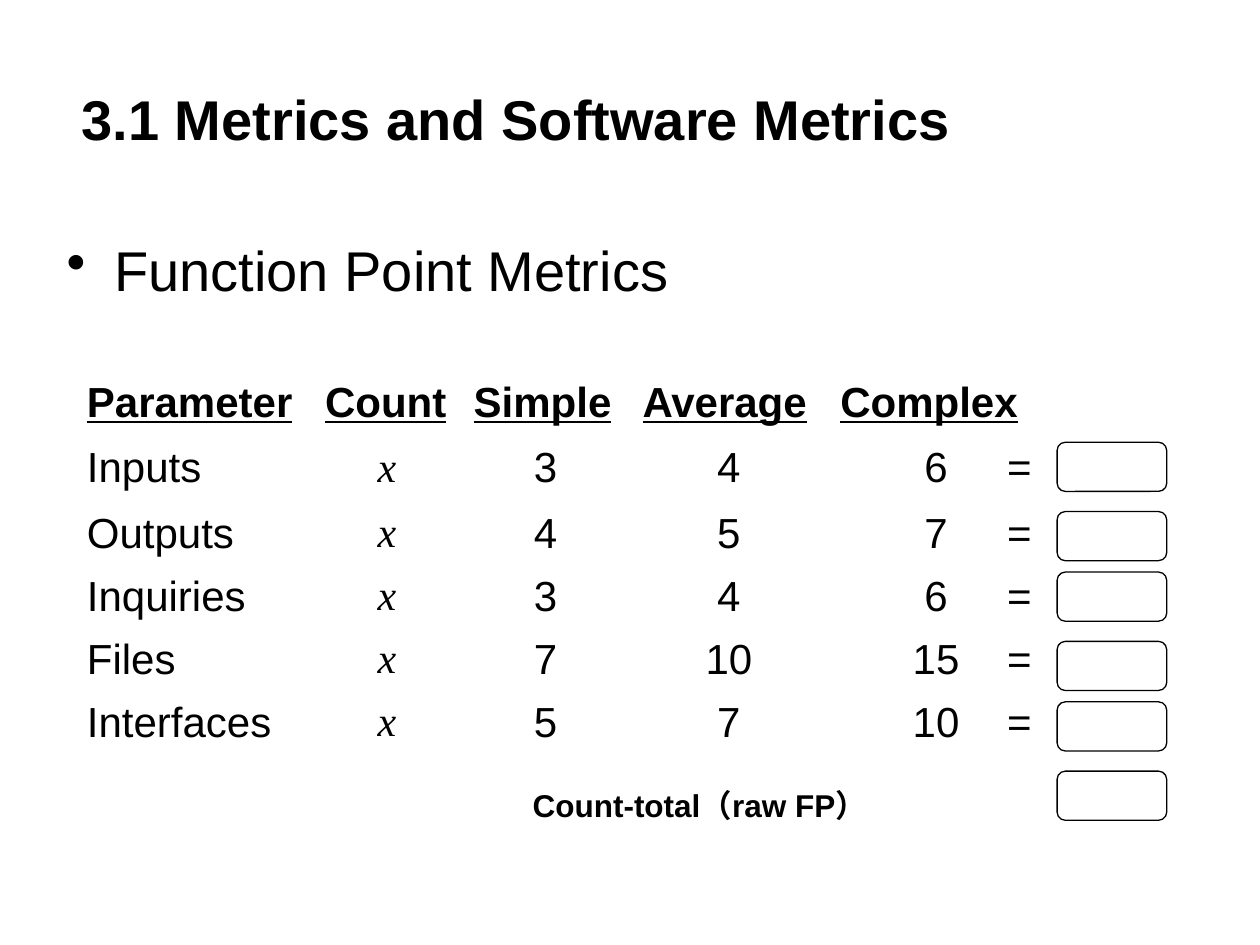
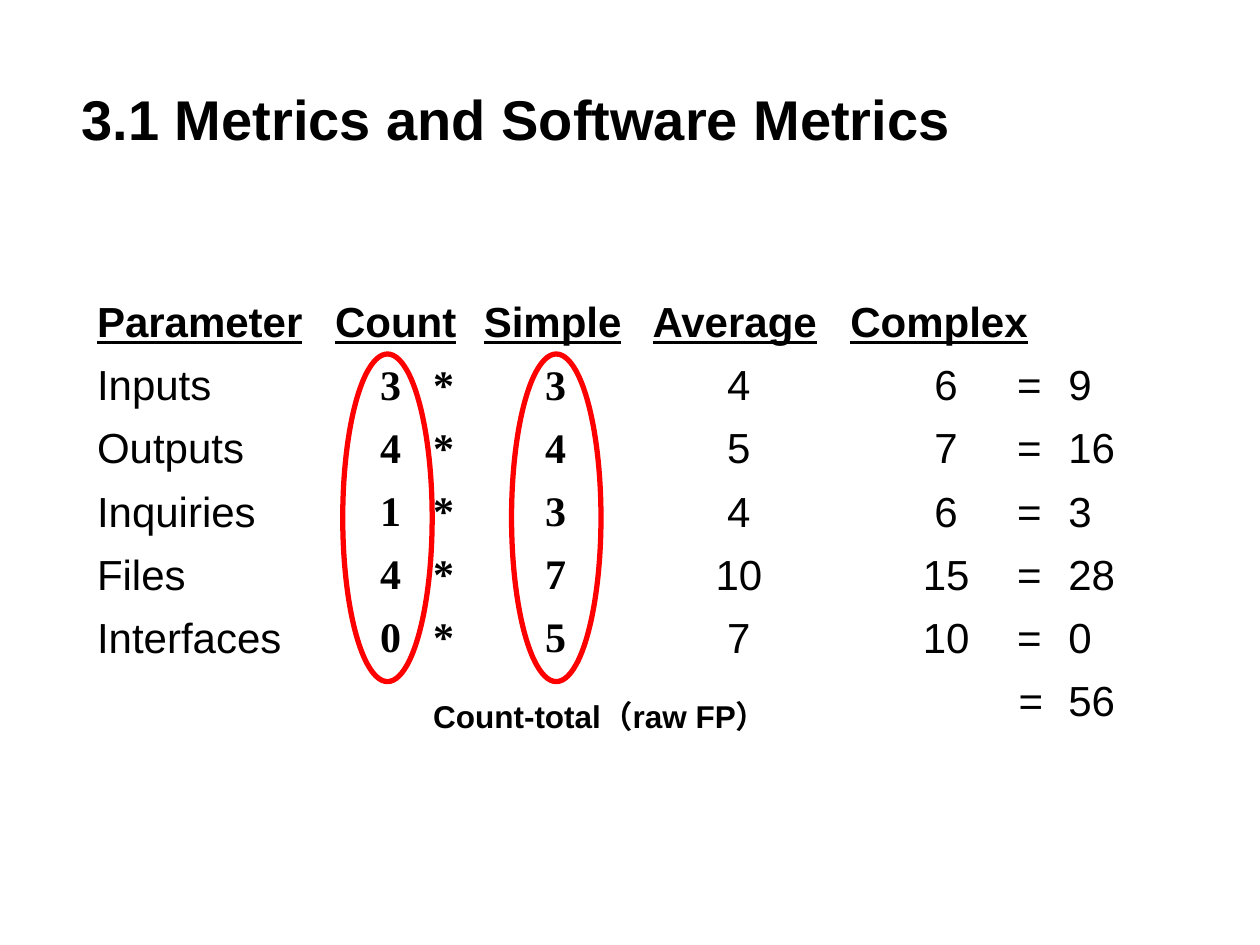
from lxml import etree
from pptx import Presentation
from pptx.dml.color import RGBColor
from pptx.enum.shapes import MSO_SHAPE
from pptx.enum.text import MSO_ANCHOR, PP_ALIGN
from pptx.oxml.ns import qn
from pptx.util import Inches, Pt

# Shared style: a grid of 10 columns by 7.5 rows
CELL = Inches(1)
BLACK, WHITE, RED = "000000", "FFFFFF", "FF0000"
SANS, SERIF = "Arial", "Times New Roman"
TITLE = "3.1 Metrics and Software Metrics"
TOTAL_LABEL = "Count-total（raw FP）"
HEADINGS = ["Parameter", "Count", "Simple", "Average", "Complex", ""]
COLUMN_WIDTHS = [1.89, 1.18, 1.34, 1.57, 1.73, 1.28]
COUNT_TABS, COMPLEX_TABS = (0.44, 0.86), (0.76, 1.42)

# Parameter, simple weight, average weight, complex weight, example count
PARAMETERS = [
    ("Inputs", 3, 4, 6, 3),
    ("Outputs", 4, 5, 7, 4),
    ("Inquiries", 3, 4, 6, 1),
    ("Files", 7, 10, 15, 4),
    ("Interfaces", 5, 7, 10, 0),
]


def grid(*cells):
    return [round(cell * CELL) for cell in cells]


def colour(value):
    return RGBColor.from_string(value)


def style(paragraph, size, font=SANS, bold=False, italic=False, underline=False):
    for span in paragraph.runs:
        span.font.name = font
        span.font.size = Pt(size)
        span.font.bold = bold
        span.font.italic = italic
        span.font.underline = underline
        span.font.color.rgb = colour(BLACK)


def add_text(page, place, text, size, bold=False, anchor=MSO_ANCHOR.TOP):
    box = page.shapes.add_textbox(*grid(*place))
    frame = box.text_frame
    frame.word_wrap = True
    frame.vertical_anchor = anchor
    frame.text = text
    style(frame.paragraphs[0], size, bold=bold)
    return frame.paragraphs[0]


def add_bullet(paragraph, indent):
    properties = paragraph._p.get_or_add_pPr()
    properties.set("marL", str(Inches(indent)))
    properties.set("indent", str(-Inches(indent)))
    etree.SubElement(properties, qn("a:buChar")).set("char", "•")


def add_centre_tabs(paragraph, positions):
    tabs = etree.SubElement(paragraph._p.get_or_add_pPr(), qn("a:tabLst"))
    for position in positions:
        tab = etree.SubElement(tabs, qn("a:tab"))
        tab.set("pos", str(Inches(position)))
        tab.set("algn", "ctr")


def add_outline(page, kind, place, line, width, fill=None):
    shape = page.shapes.add_shape(kind, *grid(*place))
    shape.shadow.inherit = False
    shape.line.color.rgb = colour(line)
    shape.line.width = Pt(width)
    if fill:
        shape.fill.solid()
        shape.fill.fore_color.rgb = colour(fill)
    else:
        shape.fill.background()


def fill_cell(cell, text, row, column, number_style):
    """Write one cell; number_style maps a column to its own run format."""
    cell.fill.background()
    cell.text = text
    paragraph = cell.text_frame.paragraphs[0]
    if row == 0:
        style(paragraph, 24, bold=True, underline=True)
        return
    if "\t" in text:
        add_centre_tabs(paragraph, COUNT_TABS if column == 1 else COMPLEX_TABS)
    elif text == "=":
        paragraph.alignment = PP_ALIGN.RIGHT
    elif 1 <= column <= 4:
        paragraph.alignment = PP_ALIGN.CENTER
    style(paragraph, 24, **number_style.get(column, {}))


def add_weights(page, left, top, heights, rows, number_style):
    place = grid(left, top, sum(COLUMN_WIDTHS), sum(heights))
    table = page.shapes.add_table(len(heights), len(COLUMN_WIDTHS), *place).table
    table.first_row = table.horz_banding = False
    for column, width in zip(table.columns, COLUMN_WIDTHS):
        column.width = Inches(width)
    for row, height in zip(table.rows, heights):
        row.height = Inches(height)
    for i, texts in enumerate([HEADINGS, *rows]):
        for j, text in enumerate(texts):
            fill_cell(table.cell(i, j), text, i, j, number_style)


def add_page(deck):
    page = deck.slides.add_slide(deck.slide_layouts[6])
    add_text(page, (0.55, 0.31, 9, 1.25), TITLE, 32, True, MSO_ANCHOR.MIDDLE)
    return page


def build_blank_form(deck):
    page = add_page(deck)
    add_bullet(add_text(page, (0.43, 1.82, 9, 0.79), "Function Point Metrics", 32), 0.38)
    rows = [[name, "x", str(simple), str(average), f"\t{complex_weight}\t=", ""]
            for name, simple, average, complex_weight, _ in PARAMETERS]
    add_weights(page, 0.59, 2.96, [0.52] * 2 + [0.5] * 4, rows,
                {1: {"font": SERIF, "italic": True}})

    # Result boxes, set in pairs
    for i in range(len(PARAMETERS) + 1):
        pair, second = divmod(i, 2)
        top = 3.51 + 1.03 * pair + 0.55 * second
        add_outline(page, MSO_SHAPE.ROUNDED_RECTANGLE, (8.39, top, 0.87, 0.39),
                    BLACK, 0.75, WHITE)
    add_text(page, (4.13, 6.19, 3.03, 0.4), TOTAL_LABEL, 18, True)


def build_worked_example(deck):
    page = add_page(deck)
    rows = [[name, f"\t{count}\t*", str(simple), str(average),
             f"\t{complex_weight}\t=", str(count * simple)]
            for name, simple, average, complex_weight, count in PARAMETERS]
    total = sum(count * simple for _, simple, _, _, count in PARAMETERS)
    rows.append(["", "", "", "", "=", str(total)])
    serif_bold = {"font": SERIF, "bold": True}
    add_weights(page, 0.67, 2.33, [0.5] * 7, rows, {1: serif_bold, 2: serif_bold})
    add_text(page, (3.34, 5.48, 3.03, 0.4), TOTAL_LABEL, 18, True)

    # Rings around the multiplied columns
    for left in (2.72, 4.06):
        add_outline(page, MSO_SHAPE.OVAL, (left, 2.81, 0.71, 2.6), RED, 3)


def main():
    deck = Presentation()
    deck.slide_width, deck.slide_height = grid(10, 7.5)
    build_blank_form(deck)
    build_worked_example(deck)
    deck.save("out.pptx")


if __name__ == "__main__":
    main()
